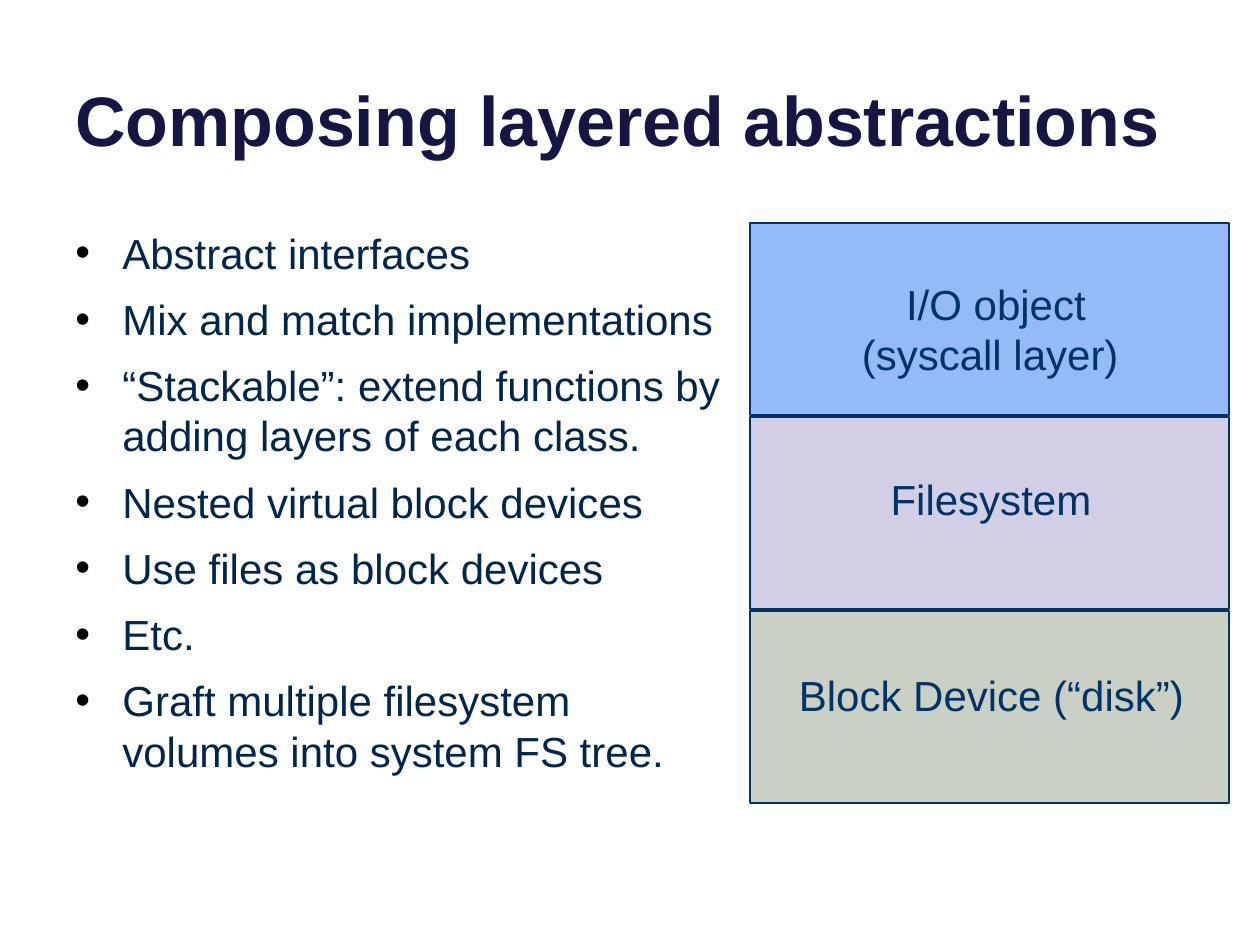
from lxml.etree import SubElement
from pptx import Presentation
from pptx.dml.color import RGBColor
from pptx.enum.shapes import MSO_SHAPE
from pptx.enum.text import MSO_ANCHOR, PP_ALIGN
from pptx.oxml.ns import qn
from pptx.util import Emu, Pt

PX = 914400 // 126
INDENT = 47
FONT = "Arial"
TITLE_COLOR = RGBColor(0x16, 0x16, 0x45)
BODY_COLOR = RGBColor(0x00, 0x26, 0x4D)
LAYER_COLOR = RGBColor(0x00, 0x33, 0x67)
BLUE = RGBColor(0x94, 0xBA, 0xF7)
LILAC = RGBColor(0xD2, 0xCE, 0xE5)
SAGE = RGBColor(0xCA, 0xD0, 0xC3)

TITLE = "Composing layered abstractions"
BULLETS = [
    "Abstract interfaces",
    "Mix and match implementations",
    "“Stackable”: extend functions by adding layers of each class.",
    "Nested virtual block devices",
    "Use files as block devices",
    "Etc.",
    "Graft multiple filesystem volumes into system FS tree.",
]
LAYER_LEFT, LAYER_TOP, LAYER_W, LAYER_H, LAYER_STEP = 750, 223, 479, 192, 194
LAYERS = [
    (BLUE, "I/O object\n(syscall layer) ", (848, 272, 296, 115)),
    (LILAC, "Filesystem", (877, 467, 228, 63)),
    (SAGE, "Block Device (“disk”)", (784, 663, 415, 63)),
]


def px(*values):
    return [Emu(v * PX) for v in values]


def add_text(s, box, text, size, color, bold=False, wrap=True):
    tf = s.shapes.add_textbox(*px(*box)).text_frame
    tf.word_wrap = wrap
    tf.text = text
    for p in tf.paragraphs:
        for r in p.runs:
            r.font.name, r.font.size, r.font.bold = FONT, Pt(size), bold
            r.font.color.rgb = color
    return tf


def add_bullet(p):
    p.space_before = Pt(9)
    pPr = p._p.get_or_add_pPr()
    pPr.set("marL", str(INDENT * PX))
    pPr.set("indent", str(-INDENT * PX))
    clr = SubElement(pPr, qn("a:buClr"))
    SubElement(clr, qn("a:srgbClr"), val="000000")
    SubElement(pPr, qn("a:buFont"), typeface=FONT)
    SubElement(pPr, qn("a:buChar"), char="•")


def add_layer(s, top, fill):
    sp = s.shapes.add_shape(MSO_SHAPE.RECTANGLE, *px(LAYER_LEFT, top, LAYER_W, LAYER_H))
    sp.shadow.inherit = False
    sp.fill.solid()
    sp.fill.fore_color.rgb = fill
    sp.line.color.rgb = LAYER_COLOR
    sp.line.width = Pt(0.75)


def main():
    """Build the slide on layered abstractions."""
    prs = Presentation()
    prs.slide_width, prs.slide_height = px(1260, 945)
    s = prs.slides.add_slide(prs.slide_layouts[6])

    tf = add_text(s, (63, -47, 1134, 214), TITLE, 40, TITLE_COLOR, bold=True)
    tf.vertical_anchor = MSO_ANCHOR.BOTTOM

    tf = add_text(s, (63, 221, 687, 567), "\n".join(BULLETS), 24, BODY_COLOR)
    for p in tf.paragraphs:
        add_bullet(p)

    for i, (fill, label, box) in enumerate(LAYERS):
        add_layer(s, LAYER_TOP + i * LAYER_STEP, fill)
        tf = add_text(s, box, label, 24, LAYER_COLOR, wrap=False)
        for p in tf.paragraphs:
            p.alignment = PP_ALIGN.CENTER

    prs.save("out.pptx")


if __name__ == "__main__":
    main()
